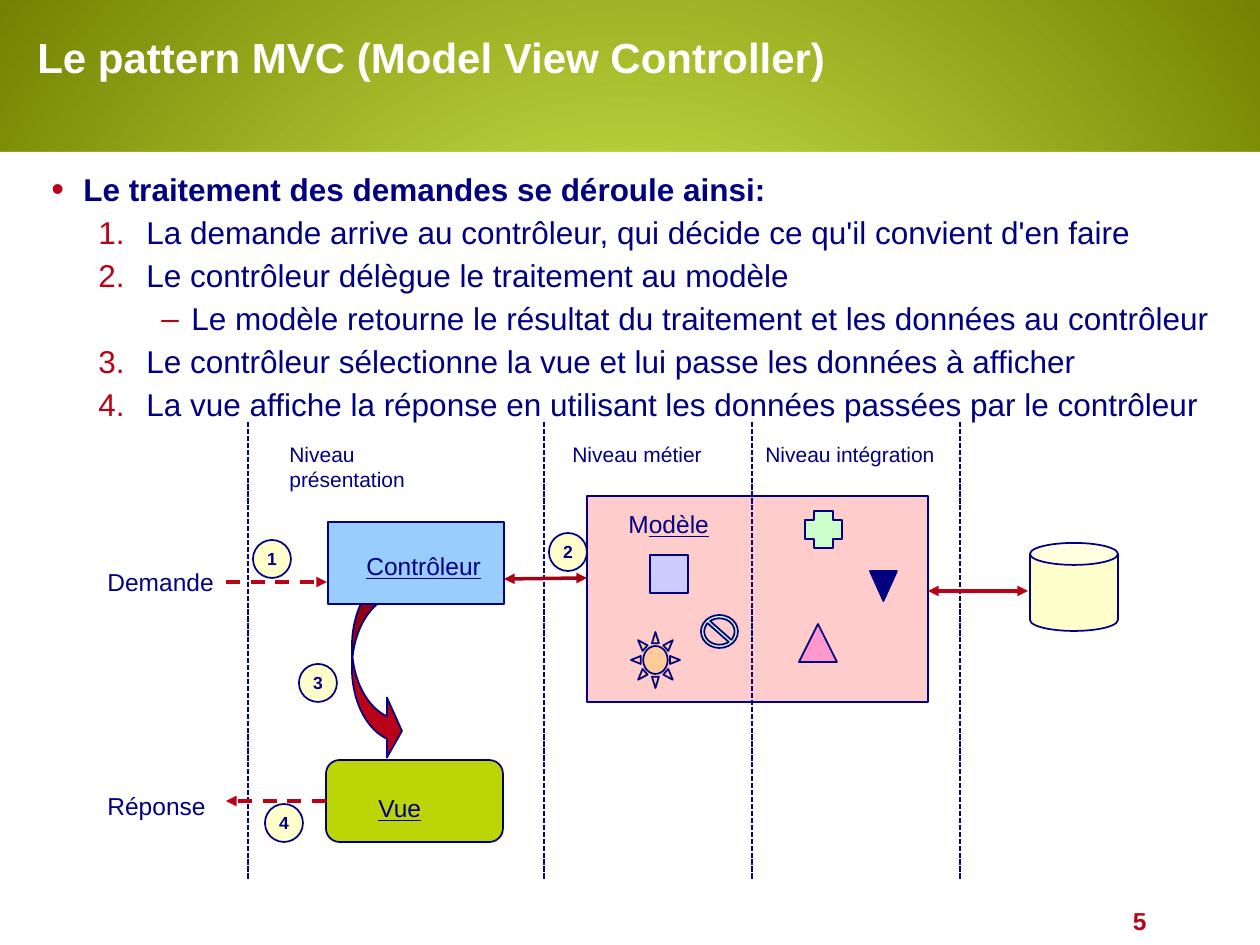
from lxml.etree import SubElement
from pptx import Presentation
from pptx.dml.color import RGBColor
from pptx.enum.dml import MSO_LINE
from pptx.enum.shapes import MSO_CONNECTOR, MSO_SHAPE
from pptx.enum.text import MSO_ANCHOR, PP_ALIGN
from pptx.oxml import parse_xml
from pptx.oxml.ns import nsdecls, qn
from pptx.util import Emu, Pt

# Content
NAVY, RED, WHITE, CREAM = "000080", "B90117", "FFFFFF", "FFFFCC"
TITLE = "Le pattern MVC (Model View Controller)"
POINTS = [  # level, text
    (0, "Le traitement des demandes se déroule ainsi:"),
    (1, "La demande arrive au contrôleur, qui décide ce qu'il convient d'en faire"),
    (1, "Le contrôleur délègue le traitement au modèle"),
    (2, "Le modèle retourne le résultat du traitement et les données au contrôleur"),
    (1, "Le contrôleur sélectionne la vue et lui passe les données à afficher"),
    (1, "La vue affiche la réponse en utilisant les données passées par le contrôleur"),
]
LEVELS = [  # text indent, hanging part, bullet tag, bullet attributes
    (32, 32, "buChar", {"char": "•"}),
    (95, 48, "buAutoNum", {"type": "arabicPeriod"}),
    (140, 30, "buChar", {"char": "–"}),
]
BOXES = {  # name: preset, x, y, w, h, fill
    "flow": (MSO_SHAPE.CURVED_RIGHT_ARROW, 352, 572, 50, 189, RED),
    "controller": (MSO_SHAPE.RECTANGLE, 328, 522, 176, 82, "99CCFF"),
    "view": (MSO_SHAPE.ROUNDED_RECTANGLE, 326, 760, 177, 82, "BCD507"),
    "model": (MSO_SHAPE.RECTANGLE, 587, 496, 341, 206, "FFCCCC"),
    "database": (MSO_SHAPE.CAN, 1030, 543, 88, 88, CREAM),
    "square": (MSO_SHAPE.RECTANGLE, 650, 555, 38, 38, "CCCCFF"),
    "triangle": (MSO_SHAPE.ISOSCELES_TRIANGLE, 799, 624, 38, 38, "FF99CC"),
    "plus": (MSO_SHAPE.CROSS, 805, 511, 37, 37, "CCFFCC"),
    "ban": (MSO_SHAPE.NO_SYMBOL, 701, 615, 37, 33, "CCFFCC"),
    "sun": (MSO_SHAPE.SUN, 631, 632, 49, 56, "FFCC99"),
    "merge": (MSO_SHAPE.FLOWCHART_MERGE, 870, 571, 27, 30, NAVY),
}
ADJUSTMENTS = {"flow": (0.45, 1.2, 0.3), "ban": (0.1,)}
STEPS = [("1", 253, 540), ("2", 549, 533), ("3", 299, 664), ("4", 265, 804)]
TIERS = [("Niveau présentation", 277), ("Niveau métier", 560), ("Niveau intégration", 753)]
TIER_EDGES = [248, 544, 752, 960]
LABELS = [  # text, x, y, underlined
    ("Demande", 95, 561, False), ("Réponse", 95, 785, False),
    ("Contrôleur", 354, 545, True), ("Vue", 366, 787, True),
]


def px(n):
    return Emu(round(n * 914400 / 126))


def rgb(value):
    return RGBColor.from_string(value)


def add_run(p, text, size=14, color=NAVY, bold=False, underline=False):
    r = p.add_run()
    r.text = text
    r.font.name, r.font.size = "Arial", Pt(size)
    r.font.bold, r.font.underline = bold, underline
    r.font.color.rgb = rgb(color)


def add_text(text, x, y, w=200, h=38, align=PP_ALIGN.LEFT, wrap=False, **fmt):
    tf = s.shapes.add_textbox(px(x), px(y), px(w), px(h)).text_frame
    tf.word_wrap = wrap
    p = tf.paragraphs[0]
    p.alignment = align
    if text:
        add_run(p, text, **fmt)
    return tf


def add_box(preset, x, y, w, h, fill, line=NAVY):
    sp = s.shapes.add_shape(preset, px(x), px(y), px(w), px(h))
    sp.shadow.inherit = False
    sp.fill.solid()
    sp.fill.fore_color.rgb = rgb(fill)
    if line:
        sp.line.color.rgb = rgb(line)
        sp.line.width = Pt(1)
    else:
        sp.line.fill.background()
    return sp


def add_line(x1, y1, x2, y2, color=RED, width=2, dash=None, ends=()):
    line = s.shapes.add_connector(MSO_CONNECTOR.STRAIGHT, px(x1), px(y1), px(x2), px(y2))
    line.line.color.rgb = rgb(color)
    line.line.width = Pt(width)
    if dash:
        line.line.dash_style = dash
    for end in ends:
        SubElement(line.line._get_or_add_ln(), qn(f"a:{end}"), type="triangle")
    SubElement(line._element.spPr, qn("a:effectLst"))
    return line


def add_bullet(p, level):
    indent, hang, tag, attrs = LEVELS[level]
    pPr = p._p.get_or_add_pPr()
    pPr.set("marL", str(px(indent)))
    pPr.set("indent", str(-px(hang)))
    SubElement(SubElement(pPr, qn("a:buClr")), qn("a:srgbClr"), val=RED)
    if level == 0:
        SubElement(pPr, qn("a:buSzPct"), val="115000")
    SubElement(pPr, qn("a:buFont"), typeface="Arial")
    SubElement(pPr, qn(f"a:{tag}"), **attrs)


prs = Presentation()
prs.slide_width, prs.slide_height = px(1260), px(945)
s = prs.slides.add_slide(prs.slide_layouts[6])

# Radial green background, white page below the header
s._element.cSld.insert(0, parse_xml(
    f'<p:bg {nsdecls("p", "a")}><p:bgPr><a:gradFill rotWithShape="1"><a:gsLst>'
    '<a:gs pos="0"><a:srgbClr val="E0FF5E"/></a:gs>'
    '<a:gs pos="100000"><a:srgbClr val="738200"/></a:gs></a:gsLst>'
    '<a:path path="circle"><a:fillToRect l="50000" t="50000" r="50000" b="50000"/></a:path>'
    '</a:gradFill><a:effectLst/></p:bgPr></p:bg>'))
add_box(MSO_SHAPE.RECTANGLE, 0, 152, 1260, 793, WHITE, line=None)
add_text("5", 960, 900, 199, 42, PP_ALIGN.RIGHT, color=RED, bold=True)
add_text(TITLE, 25, 25, 1074, 98, wrap=True, size=24, color=WHITE, bold=True)

# Numbered explanation
tf = add_text("", 39, 164, 1184, 258, wrap=True)
for i, (level, text) in enumerate(POINTS):
    p = tf.paragraphs[0] if i == 0 else tf.add_paragraph()
    p.level = level
    p.space_before = Pt(3 if i else 0)
    add_bullet(p, level)
    add_run(p, text, size=18, bold=level == 0)

# Diagram shapes
shapes = {}
for name, box in BOXES.items():
    shapes[name] = add_box(*box)
    for i, value in enumerate(ADJUSTMENTS.get(name, ())):
        shapes[name].adjustments[i] = value

# Tier separators and headings
for x in TIER_EDGES:
    add_line(x, 422, x, 879, NAVY, 1, MSO_LINE.SQUARE_DOT)
for text, x in TIERS:
    add_text(text, x, 435, size=12)

# Arrows
both = ("headEnd", "tailEnd")
add_line(226, 582, 327, 582, dash=MSO_LINE.DASH, ends=["tailEnd"])
response = add_line(326, 801, 226, 801, dash=MSO_LINE.DASH, ends=["tailEnd"])
response.begin_connect(shapes["view"], 1)
add_line(504, 579, 587, 578, color="A70114", ends=both)
add_line(928, 591, 1028, 591, ends=both)

# Labels
for text, x, y, underline in LABELS:
    add_text(text, x, y, underline=underline)
tf = add_text("M", 616, 503)
add_run(tf.paragraphs[0], "odèle", underline=True)

# Step numbers
for number, x, y in STEPS:
    tf = add_box(MSO_SHAPE.OVAL, x, y, 38, 38, CREAM).text_frame
    tf.margin_left = tf.margin_right = tf.margin_top = tf.margin_bottom = 0
    tf.vertical_anchor = MSO_ANCHOR.MIDDLE
    tf.paragraphs[0].alignment = PP_ALIGN.CENTER
    add_run(tf.paragraphs[0], number, size=10, bold=True)

prs.save("out.pptx")
